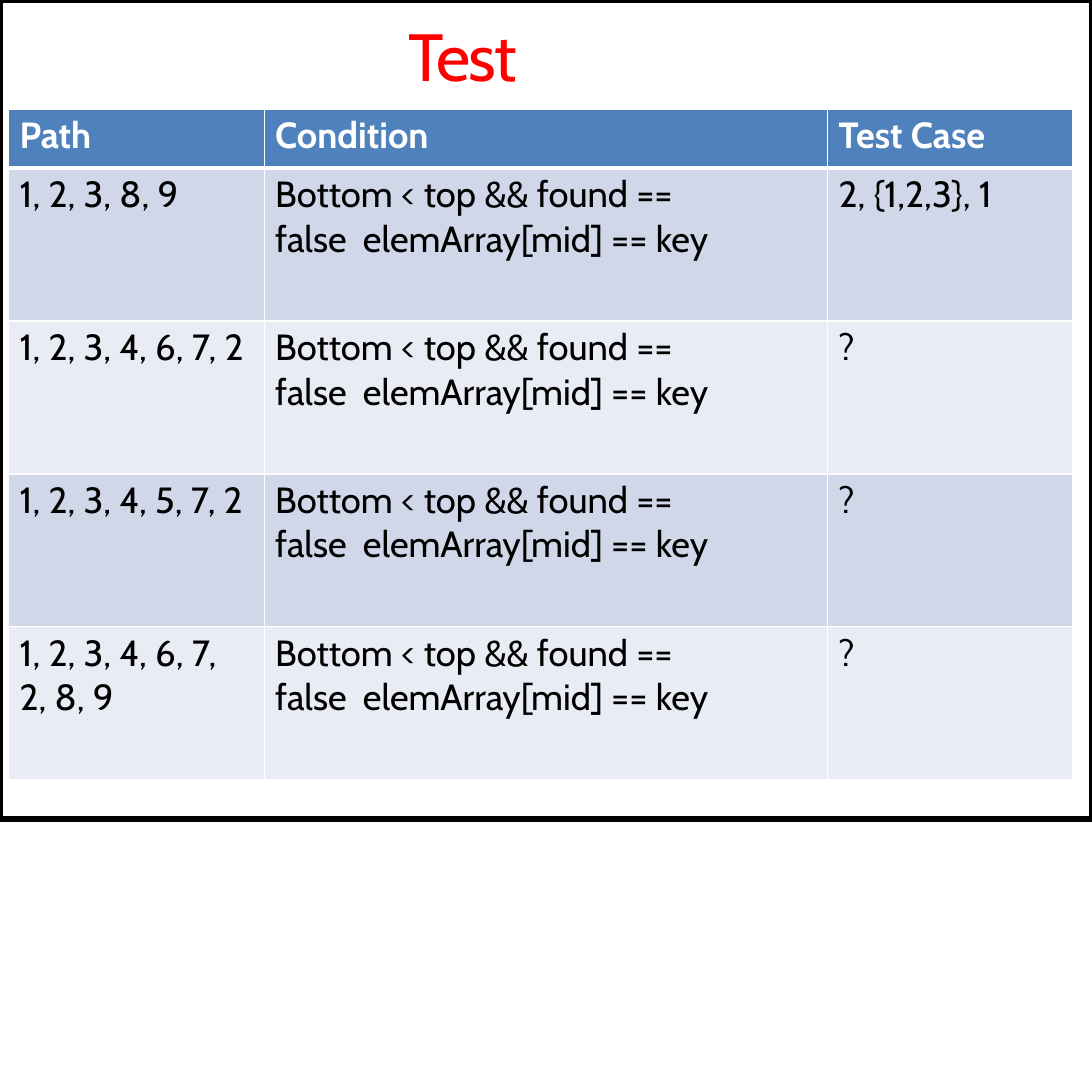
"""Build a slide with a table of path conditions and test cases."""
from lxml import etree
from pptx import Presentation
from pptx import util as u
from pptx.dml.color import RGBColor
from pptx.enum import shapes, text
from pptx.oxml.ns import qn

PX = 9144
THEME = {
    "font": "Cabin", "title_size": 22, "cell_size": 12,
    "title": "FF0000", "header": "4F81BC", "bands": ("D0D7E8", "E9ECF4"),
    "header_text": "FFFFFF", "cell_text": "000000",
    "rule": "FFFFFF", "frame": "000000",
}
CONDITION = "Bottom < top && found == false  elemArray[mid] == key"
ROWS = [
    ("Path", "Condition", "Test Case"),
    ("1, 2, 3, 8, 9", CONDITION, "2, {1,2,3}, 1"),
    ("1, 2, 3, 4, 6, 7, 2", CONDITION, "?"),
    ("1, 2, 3, 4, 5, 7, 2", CONDITION, "?"),
    ("1, 2, 3, 4, 6, 7,\n2, 8, 9", CONDITION, "?"),
]
COLUMN_WIDTHS = (117, 258, 112)
RIGHT_MARGINS = (0, 47, 0)
HEADER_HEIGHT, BODY_HEIGHT = 27, 70


def style_text(frame, size, color, bold, spacing):
    for para in frame.paragraphs:
        para.alignment = text.PP_ALIGN.LEFT
        for span in para.runs:
            values = {"name": THEME["font"], "size": u.Pt(size), "bold": bold}
            for name, value in values.items():
                setattr(span.font, name, value)
            span.font.color.rgb = RGBColor.from_string(color)
            span.font._element.set("spc", str(spacing))


def add_border(cell, side, points):
    line = etree.SubElement(cell._tc.get_or_add_tcPr(), qn(f"a:ln{side}"), w=str(u.Pt(points)))
    fill = etree.SubElement(line, qn("a:solidFill"))
    etree.SubElement(fill, qn("a:srgbClr"), val=THEME["rule"])


deck = Presentation()
deck.slide_width = deck.slide_height = 500 * PX
page = deck.slides.add_slide(deck.slide_layouts[5])

title = page.shapes.title
title_box = {"left": 186, "top": 6, "width": 129, "height": 39}
for name, value in title_box.items():
    setattr(title, name, value * PX)
title.text_frame.text = "Test"
title_format = {
    "margin_left": PX, "margin_right": 0, "margin_top": PX, "margin_bottom": 0,
    "word_wrap": True, "vertical_anchor": text.MSO_ANCHOR.TOP,
    "auto_size": text.MSO_AUTO_SIZE.SHAPE_TO_FIT_TEXT,
}
for name, value in title_format.items():
    setattr(title.text_frame, name, value)
style_text(title.text_frame, THEME["title_size"], THEME["title"], False, -60)

table_height = HEADER_HEIGHT + BODY_HEIGHT * (len(ROWS) - 1)
table = page.shapes.add_table(
    len(ROWS), len(COLUMN_WIDTHS), 4 * PX, 50 * PX,
    sum(COLUMN_WIDTHS) * PX, table_height * PX).table
for column, width in zip(table.columns, COLUMN_WIDTHS):
    column.width = width * PX

for row_index, row in enumerate(ROWS):
    is_header = row_index == 0
    table.rows[row_index].height = (HEADER_HEIGHT if is_header else BODY_HEIGHT) * PX
    fill_color = THEME["header"] if is_header else THEME["bands"][(row_index - 1) % 2]
    text_color = THEME["header_text"] if is_header else THEME["cell_text"]
    borders = {"L": 0.5, "R": 0.5, "T": 1.5 if row_index == 1 else 0.5,
               "B": 1.5 if is_header else 0.5}
    for column_index, words in enumerate(row):
        cell = table.cell(row_index, column_index)
        cell.text = words
        cell_format = {
            "margin_left": 5 * PX, "margin_right": RIGHT_MARGINS[column_index] * PX,
            "margin_top": 2 * PX, "margin_bottom": 0,
            "vertical_anchor": text.MSO_ANCHOR.TOP,
        }
        for name, value in cell_format.items():
            setattr(cell, name, value)
        for side, points in borders.items():
            add_border(cell, side, points)
        cell.fill.solid()
        cell.fill.fore_color.rgb = RGBColor.from_string(fill_color)
        style_text(cell.text_frame, THEME["cell_size"], text_color, is_header, 0)

frame = page.shapes.add_shape(shapes.MSO_SHAPE.RECTANGLE, 0, 0, 500 * PX, 375 * PX)
frame.shadow.inherit = False
frame.fill.background()
frame.line.color.rgb = RGBColor.from_string(THEME["frame"])
frame.line.width = u.Pt(1.92)

deck.save("out.pptx")
